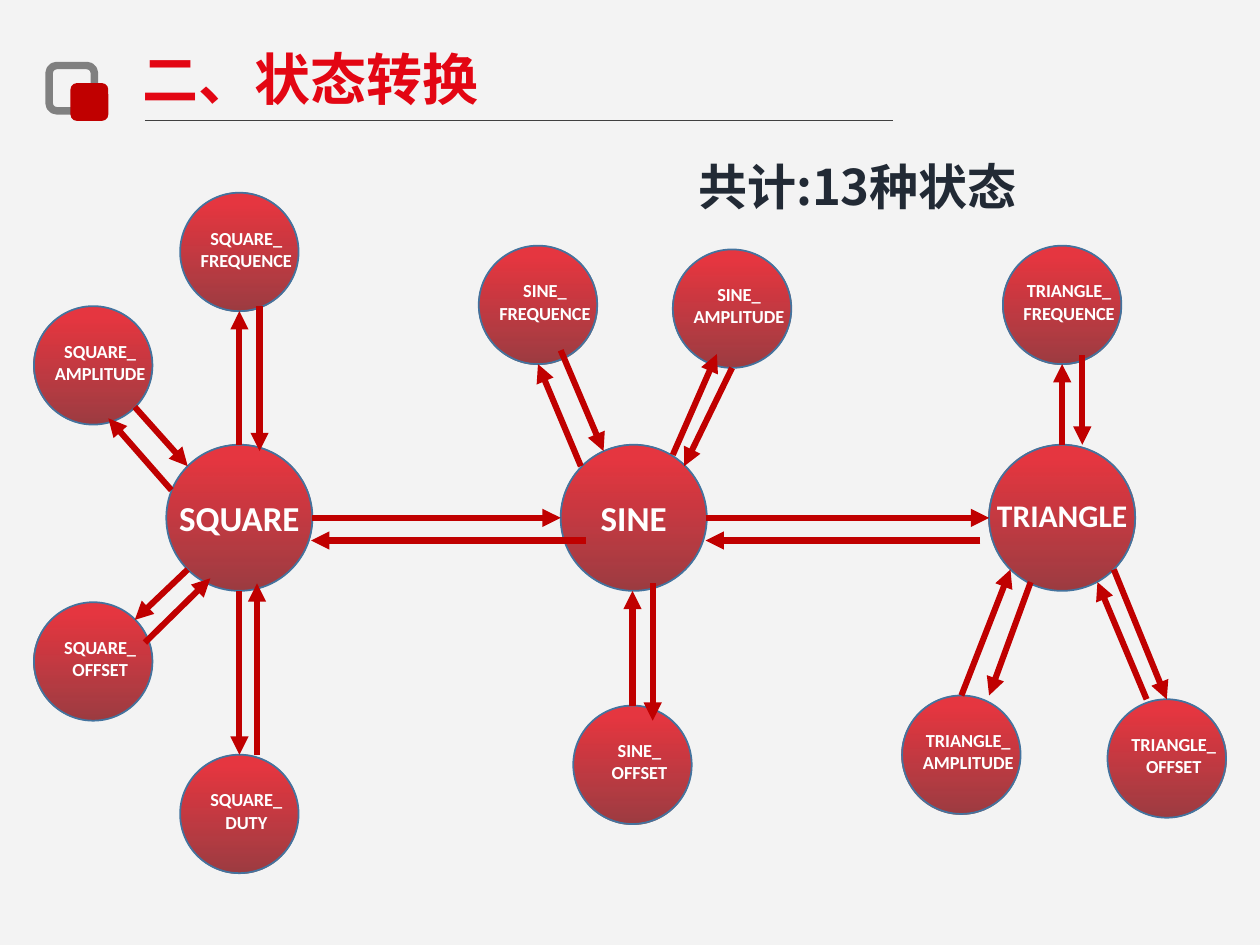
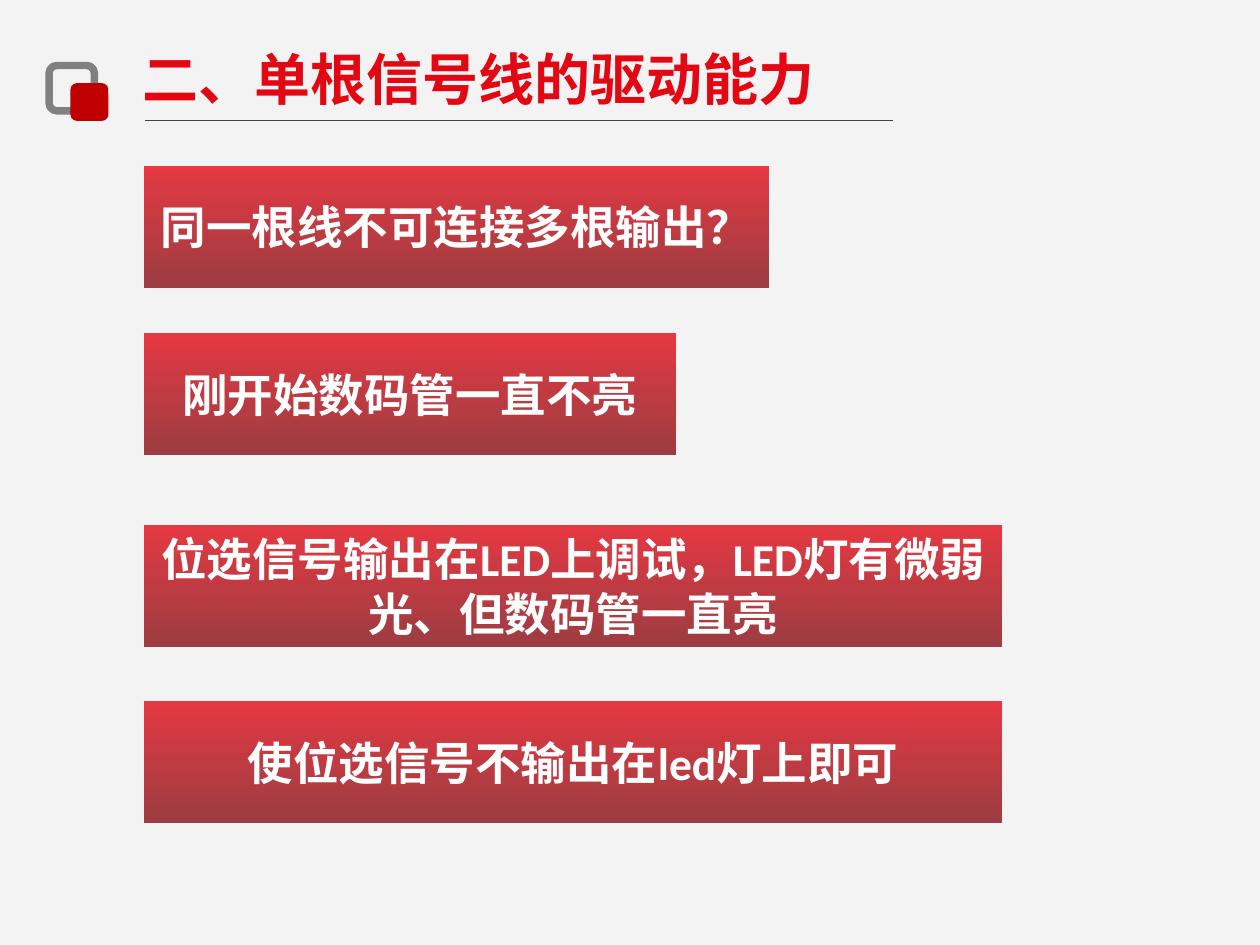
"""Builds two slides: a state transition diagram and notes on driving one signal line."""
from typing import NamedTuple

from lxml.etree import SubElement
from pptx import Presentation
from pptx.dml.color import RGBColor
from pptx.enum.shapes import MSO_CONNECTOR, MSO_SHAPE
from pptx.enum.text import MSO_ANCHOR, MSO_AUTO_SIZE, PP_ALIGN
from pptx.oxml.ns import qn
from pptx.util import Inches, Pt

RED = RGBColor(0xE3, 0x06, 0x13)
DEEP_RED = RGBColor(0x81, 0x04, 0x0B)
ACCENT = RGBColor(0xC0, 0x00, 0x00)
GRAY = RGBColor(0x80, 0x80, 0x80)
RULE = RGBColor(0x40, 0x40, 0x40)
OUTLINE = RGBColor(0x43, 0x73, 0x9E)
NAVY = RGBColor(0x22, 0x2A, 0x35)
WHITE = RGBColor(0xFF, 0xFF, 0xFF)
PAPER = RGBColor(0xF3, 0xF3, 0xF3)

LATIN, CJK = "Calibri", "Noto Sans CJK SC"
WIDTH, HEIGHT = Inches(10), Inches(7.5)
COLUMNS, ROWS = 100, 75
TITLE_ONLY = 5


class Box(NamedTuple):
    """A rectangle in grid columns and rows."""
    x: float
    y: float
    w: float
    h: float


class Circle(NamedTuple):
    """A state circle: its diameter and the place of its label within it."""
    size: float
    label: Box


class State(NamedTuple):
    """A state with its circle's left and top."""
    text: str
    x: float
    y: float
    circle: Circle
    points: float


class Arrow(NamedTuple):
    """An arrow from one grid point to another."""
    x1: float
    y1: float
    x2: float
    y2: float


class Note(NamedTuple):
    """A note band with its top and width."""
    text: str
    y: float
    w: float


HUB = Circle(11.6, Box(0, 3.6, 11.6, 4.4))
LEAF = Circle(9.4, Box(0, 2.2, 10.5, 4.5))

STATES = [
    State("SQUARE", 13.2, 35.3, HUB, 20),
    State("SINE", 44.5, 35.3, HUB, 20),
    State("TRIANGLE", 78.5, 35.3, HUB, 18),
    *(State(text, x, y, LEAF, 10.5) for text, x, y in [
        ("SQUARE_\nFREQUENCE", 14.3, 15.3),
        ("SQUARE_\nAMPLITUDE", 2.7, 24.3),
        ("SQUARE_\nOFFSET", 2.7, 47.8),
        ("SQUARE_\nDUTY", 14.3, 59.9),
        ("SINE_\nFREQUENCE", 38, 19.5),
        ("SINE_\nAMPLITUDE", 53.4, 19.8),
        ("SINE_\nOFFSET", 45.5, 56),
        ("TRIANGLE_\nFREQUENCE", 79.6, 19.5),
        ("TRIANGLE_\nAMPLITUDE", 71.6, 55.2),
        ("TRIANGLE_\nOFFSET", 87.9, 55.5),
    ]),
]

HUB_ARROWS = [
    Arrow(24.8, 41.1, 44.5, 41.1), Arrow(46.5, 42.9, 24.7, 42.9),
    Arrow(56, 41.1, 78.5, 41.1), Arrow(77.8, 42.9, 56, 42.9),
]
SQUARE_ARROWS = [
    Arrow(19, 35.3, 19, 24.7), Arrow(20.6, 24.3, 20.6, 35.8),
    Arrow(10.7, 32.3, 14.9, 37), Arrow(13.6, 38.9, 8.6, 33.2),
    Arrow(14.9, 45.2, 10.7, 49.2), Arrow(11.5, 51, 16.7, 45.9),
    Arrow(19, 46.9, 19, 59.9), Arrow(20.4, 59.9, 20.4, 46.3),
]
SINE_ARROWS = [
    Arrow(46.1, 37, 42.7, 28.9), Arrow(44.5, 27.8, 47.9, 35.8),
    Arrow(58.1, 29.2, 54.3, 37), Arrow(53.4, 36.1, 56.9, 28.1),
    Arrow(50.2, 56, 50.2, 46.9), Arrow(51.8, 46.3, 51.8, 57.2),
]
TRIANGLE_ARROWS = [
    Arrow(84.3, 35.3, 84.3, 28.9), Arrow(85.9, 28.2, 85.9, 35.3),
    Arrow(76.3, 55.2, 80.2, 45.2), Arrow(81.8, 46.2, 78.5, 55.2),
    Arrow(88.4, 45.2, 92.6, 55.5), Arrow(91, 55.5, 87.1, 46.2),
]

NOTES = [
    Note("同一根线不可连接多根输出？", 13.2, 49.5),
    Note("刚开始数码管一直不亮", 26.5, 42.1),
    Note("位选信号输出在LED上调试，LED灯有微弱光、但数码管一直亮", 41.7, 68),
    Note("使位选信号不输出在led灯上即可", 55.7, 68),
]


def col(n: float) -> int:
    """Length of n grid columns."""
    return round(WIDTH * n / COLUMNS)


def row(n: float) -> int:
    """Length of n grid rows."""
    return round(HEIGHT * n / ROWS)


def place(box: Box) -> tuple[int, int, int, int]:
    """Left, top, width and height of a grid box."""
    return col(box.x), row(box.y), col(box.w), row(box.h)


def write(tf, text: str, size: float, color: RGBColor, font: str = LATIN,
          align=PP_ALIGN.CENTER) -> None:
    """Fill a text frame with bold paragraphs, one per line of text."""
    tf.word_wrap = True
    tf.text = text
    for p in tf.paragraphs:
        p.alignment = align
        p.font.size, p.font.bold = Pt(size), True
        p.font.color.rgb = color
        p.font.name = font
        defaults = p._p.pPr.find(qn("a:defRPr"))
        SubElement(defaults, qn("a:ea"), typeface=CJK)


def add_label(slide, box: Box, text: str, size: float, color: RGBColor,
              font: str = LATIN) -> None:
    """Add a centred text box without side margins."""
    tf = slide.shapes.add_textbox(*place(box)).text_frame
    tf.margin_left = tf.margin_right = 0
    write(tf, text, size, color, font)


def add_plain(slide, kind, box: Box):
    """Add a preset shape without shadow, fill or line."""
    sp = slide.shapes.add_shape(kind, *place(box))
    sp.shadow.inherit = False
    sp.fill.background()
    sp.line.fill.background()
    return sp


def shade(sp, start: float) -> None:
    """Fill a shape with the translucent red gradient, top to bottom."""
    sp.fill.gradient()
    sp.fill.gradient_angle = 270
    looks = [(start, RED, 79), (1, DEEP_RED, 76)]
    for stop, (position, color, _) in zip(sp.fill.gradient_stops, looks):
        stop.position, stop.color.rgb = position, color
    colors = sp._element.spPr.iter(qn("a:srgbClr"))
    for element, (_, _, opacity) in zip(colors, looks):
        SubElement(element, qn("a:alpha"), val=str(opacity * 1000))


def add_line(slide, line: Arrow, color: RGBColor, width: float):
    """Add a straight connector without shadow."""
    cx = slide.shapes.add_connector(MSO_CONNECTOR.STRAIGHT, col(line.x1), row(line.y1),
                                    col(line.x2), row(line.y2))
    cx.line.color.rgb, cx.line.width = color, Pt(width)
    SubElement(cx._element.spPr, qn("a:effectLst"))
    return cx


def add_arrow(slide, arrow: Arrow) -> None:
    """Add a transition arrow."""
    cx = add_line(slide, arrow, ACCENT, 3.5)
    SubElement(cx.line._get_or_add_ln(), qn("a:tailEnd"), type="triangle")


def add_state(slide, state: State) -> None:
    """Add a state circle and its label."""
    size, label = state.circle
    sp = add_plain(slide, MSO_SHAPE.OVAL, Box(state.x, state.y, size, size))
    shade(sp, 0.1)
    sp.line.color.rgb, sp.line.width = OUTLINE, Pt(1)
    box = label._replace(x=state.x + label.x, y=state.y + label.y)
    add_label(slide, box, state.text, state.points, WHITE)


def add_note(slide, note: Note) -> None:
    """Add a gradient band with a centred note."""
    sp = add_plain(slide, MSO_SHAPE.RECTANGLE, Box(11.5, note.y, note.w, 9.6))
    shade(sp, 0)
    sp.text_frame.vertical_anchor = MSO_ANCHOR.MIDDLE
    write(sp.text_frame, note.text, 26, WHITE)


def add_titled_slide(prs, title: str):
    """Add a slide with the title, its emblem and its rule."""
    slide = prs.slides.add_slide(prs.slide_layouts[TITLE_ONLY])
    ring = add_plain(slide, MSO_SHAPE.ROUNDED_RECTANGLE, Box(3.9, 5.2, 3.6, 3.6))
    ring.line.color.rgb, ring.line.width = GRAY, Pt(4.25)
    block = add_plain(slide, MSO_SHAPE.ROUNDED_RECTANGLE, Box(5.6, 6.6, 3, 3))
    block.fill.solid()
    block.fill.fore_color.rgb = ACCENT
    add_line(slide, Arrow(11.5, 9.6, 70.9, 9.6), RULE, 0.5)
    sp = slide.shapes.title
    sp.left, sp.top, sp.width, sp.height = place(Box(10.3, 3, 2 + 4.5 * len(title), 6.4))
    tf = sp.text_frame
    tf.auto_size, tf.vertical_anchor = MSO_AUTO_SIZE.NONE, MSO_ANCHOR.MIDDLE
    write(tf, title, 32, RED, CJK, PP_ALIGN.LEFT)
    return slide


def main() -> None:
    """Build and save the presentation."""
    prs = Presentation()
    prs.slide_width, prs.slide_height = WIDTH, HEIGHT
    paper = prs.slide_master.background.fill
    paper.solid()
    paper.fore_color.rgb = PAPER

    diagram = add_titled_slide(prs, "二、状态转换")
    add_label(diagram, Box(53.4, 11.9, 29.3, 5.7), "共计:13种状态", 28, NAVY, CJK)
    for state in STATES:
        add_state(diagram, state)
    for arrow in HUB_ARROWS + SQUARE_ARROWS + SINE_ARROWS + TRIANGLE_ARROWS:
        add_arrow(diagram, arrow)

    notes = add_titled_slide(prs, "二、单根信号线的驱动能力")
    for note in NOTES:
        add_note(notes, note)
    prs.save("out.pptx")


if __name__ == "__main__":
    main()
